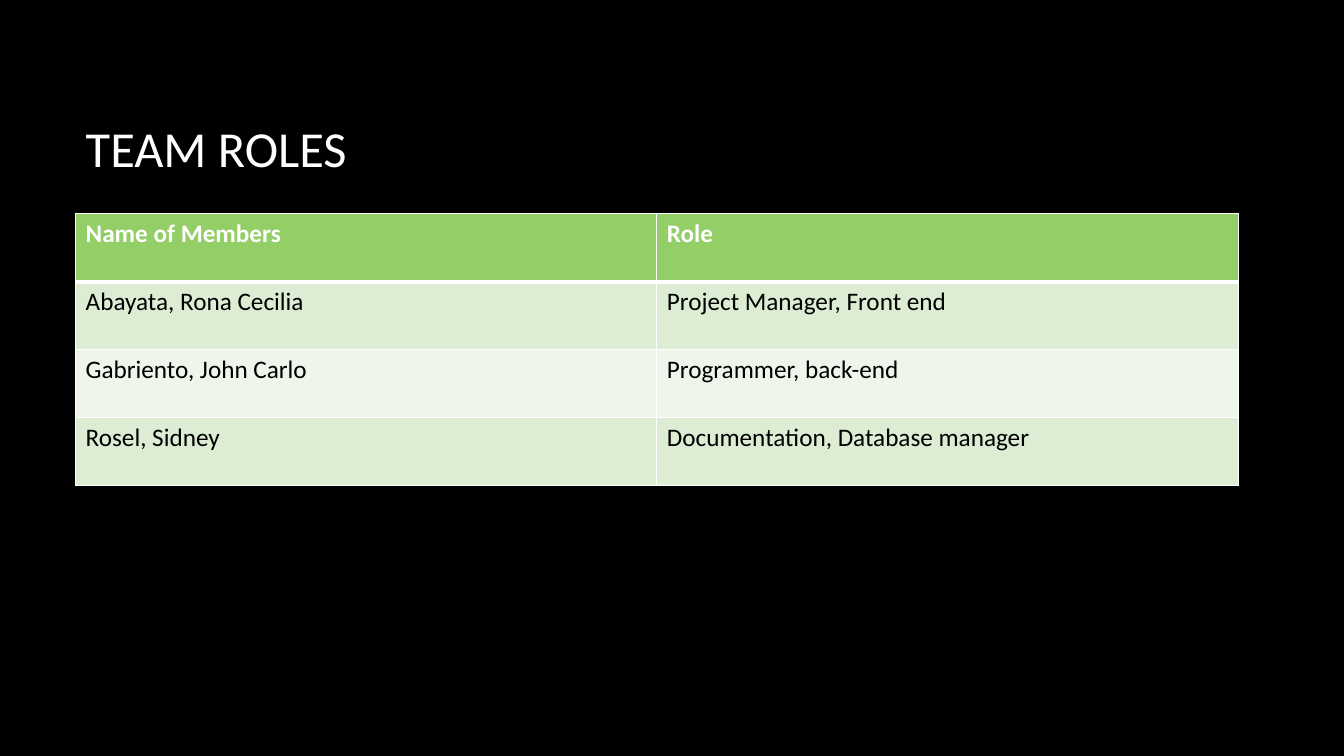
import dataclasses

import pptx
import pptx.dml.color
import pptx.enum.text
import pptx.oxml
import pptx.oxml.ns
import pptx.util

Inches = pptx.util.Inches
Pt = pptx.util.Pt


@dataclasses.dataclass(frozen=True)
class Theme:
    font: str = "Calibri"
    background: str = "000000"
    light_text: str = "FFFFFF"
    dark_text: str = "000000"
    border: str = "FFFFFF"
    header_fill: str = "94CE67"
    band_fills: tuple = ("DCEDD3", "EEF6EB")
    title_size: int = 36
    table_size: int = 18
    thin_border: int = 1
    header_border: int = 3


THEME = Theme()

TEAM_ROLES = [
    ("Name of Members", "Role"),
    ("Abayata, Rona Cecilia", "Project Manager, Front end"),
    ("Gabriento, John Carlo", "Programmer, back-end"),
    ("Rosel, Sidney", "Documentation, Database manager"),
]


def rgb(color):
    return pptx.dml.color.RGBColor.from_string(color)


def set_attributes(target, values):
    for name, value in values.items():
        setattr(target, name, value)


def write_text(text_frame, text, size, color, bold=False):
    paragraph = text_frame.paragraphs[0]
    run = paragraph.add_run()
    run.text = text
    set_attributes(run.font, {"name": THEME.font, "size": Pt(size), "bold": bold})
    run.font.color.rgb = rgb(color)
    return paragraph


def fill_solid(fill, color):
    fill.solid()
    fill.fore_color.rgb = rgb(color)


def add_title(slide, text):
    title = slide.shapes.title
    set_attributes(title, {
        "left": Inches(0.75), "top": Inches(0.67),
        "width": Inches(11.08), "height": Inches(1.59),
    })
    set_attributes(title.text_frame, {
        "word_wrap": True,
        "auto_size": pptx.enum.text.MSO_AUTO_SIZE.NONE,
        "vertical_anchor": pptx.enum.text.MSO_ANCHOR.MIDDLE,
    })
    paragraph = write_text(title.text_frame, text, THEME.title_size, THEME.light_text)
    paragraph.alignment = pptx.enum.text.PP_ALIGN.LEFT


def add_border(cell, side, width):
    cell_properties = cell._tc.get_or_add_tcPr()
    cell_properties.append(pptx.oxml.parse_xml(
        f'<a:{side} {pptx.oxml.ns.nsdecls("a")} w="{Pt(width)}">'
        f'<a:solidFill><a:srgbClr val="{THEME.border}"/></a:solidFill></a:{side}>'
    ))


def format_cell(cell, text, row):
    header = row == 0
    # Borders come before the fill in the cell properties
    widths = {
        "lnL": THEME.thin_border,
        "lnR": THEME.thin_border,
        "lnT": THEME.header_border if row == 1 else THEME.thin_border,
        "lnB": THEME.header_border if header else THEME.thin_border,
    }
    for side, width in widths.items():
        add_border(cell, side, width)
    band_fill = THEME.band_fills[(row - 1) % len(THEME.band_fills)]
    fill_solid(cell.fill, THEME.header_fill if header else band_fill)
    color = THEME.light_text if header else THEME.dark_text
    write_text(cell.text_frame, text, THEME.table_size, color, bold=header)


def add_roles_table(slide, rows):
    table = slide.shapes.add_table(
        len(rows), len(rows[0]),
        Inches(0.75), Inches(2.12), Inches(11.53), Inches(2.7),
    ).table
    for row, texts in enumerate(rows):
        for column, text in enumerate(texts):
            format_cell(table.cell(row, column), text, row)


def main():
    presentation = pptx.Presentation()
    set_attributes(presentation, {
        "slide_width": Inches(13.33), "slide_height": Inches(7.5),
    })

    # Title-only slide on a dark background
    slide = presentation.slides.add_slide(presentation.slide_layouts[5])
    fill_solid(slide.background.fill, THEME.background)

    # Content
    add_title(slide, "TEAM ROLES")
    add_roles_table(slide, TEAM_ROLES)

    presentation.save("out.pptx")


if __name__ == "__main__":
    main()
